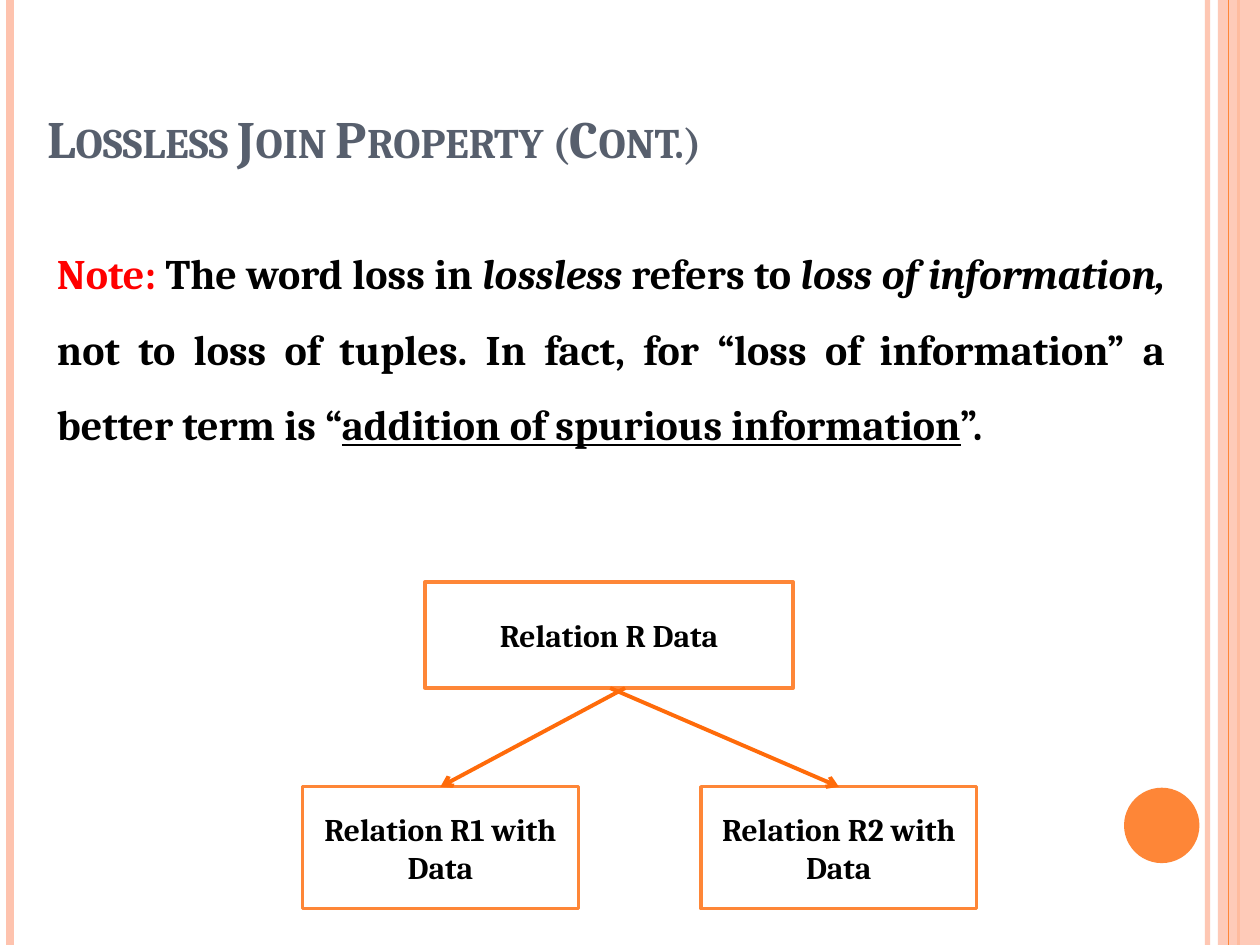
from lxml.etree import SubElement
from pptx import Presentation
from pptx.dml.color import RGBColor
from pptx.enum.shapes import MSO_CONNECTOR, MSO_SHAPE
from pptx.enum.text import MSO_ANCHOR, PP_ALIGN
from pptx.oxml.ns import qn
from pptx.util import Cm, Pt

FONT = "Cambria"
ORANGE = "FE8637"
PEACH = "FEC3AE"
ARROW = "FF6B0A"
BLACK = "000000"
PAGE_WIDTH, PAGE_HEIGHT = 25.4, 19.05


def color(value):
    return RGBColor.from_string(value)


def set_alpha(fill_element, percent):
    SubElement(fill_element.find(".//" + qn("a:srgbClr")), qn("a:alpha"), val=str(percent * 1000))


def add_span(para, text, size, shade=BLACK, italic=False, underline=False):
    span = para.add_run()
    span.text = text
    font = span.font
    font.name, font.size, font.bold = FONT, Pt(size), True
    font.italic, font.underline = italic, underline
    font.color.rgb = color(shade)
    return span


def add_line(page, start, end, shade, width, alpha=None, arrow=False):
    line = page.shapes.add_connector(
        MSO_CONNECTOR.STRAIGHT, *(Cm(value) for value in start + end))
    line.line.color.rgb = color(shade)
    line.line.width = Pt(width)
    properties = line._element.spPr
    outline = properties.find(qn("a:ln"))
    if alpha:
        set_alpha(outline, alpha)
    if arrow:
        SubElement(outline, qn("a:tailEnd"), type="arrow")
    SubElement(properties, qn("a:effectLst"))


def add_figure(page, kind, left, top, width, height, fill, outline=None):
    figure = page.shapes.add_shape(kind, Cm(left), Cm(top), Cm(width), Cm(height))
    figure.shadow.inherit = False
    figure.fill.solid()
    figure.fill.fore_color.rgb = color(fill)
    if outline:
        figure.line.color.rgb = color(outline)
        figure.line.width = Pt(2)
    else:
        figure.line.fill.background()
    return figure


def add_relation(page, text, left, top, width, height):
    box = add_figure(page, MSO_SHAPE.RECTANGLE, left, top, width, height, "FFFFFF", ORANGE)
    frame = box.text_frame
    frame.word_wrap = True
    frame.vertical_anchor = MSO_ANCHOR.MIDDLE
    para = frame.paragraphs[0]
    para.alignment = PP_ALIGN.CENTER
    add_span(para, text, 18)


def add_frame_decoration(page):
    def rule(x, shade, width, alpha=None):
        add_line(page, (x, 0), (x, PAGE_HEIGHT), shade, width, alpha)

    rule(24.34, PEACH, 3, 93)
    rule(0.21, PEACH, 4.5)
    rule(24.97, ORANGE, 1.5)
    band = add_figure(page, MSO_SHAPE.RECTANGLE, 24.55, 0, 0.85, PAGE_HEIGHT, PEACH)
    set_alpha(band._element.spPr, 87)
    rule(24.77, ORANGE, 0.75)
    add_figure(page, MSO_SHAPE.OVAL, 22.66, 15.88, 1.52, 1.52, ORANGE)


def set_title(page, text):
    title = page.shapes.title
    title.left, title.top, title.width, title.height = Cm(0.7), Cm(0.36), Cm(24.2), Cm(3.18)
    title.text_frame.vertical_anchor = MSO_ANCHOR.BOTTOM
    para = title.text_frame.paragraphs[0]
    para.alignment = PP_ALIGN.LEFT
    span = add_span(para, text, 30, "575F6D")
    span.font._element.set("cap", "small")


def add_note(page):
    box = page.shapes.add_textbox(Cm(0.9), Cm(4.36), Cm(22.84), Cm(13.36))
    box.text_frame.word_wrap = True
    para = box.text_frame.paragraphs[0]
    para.alignment = PP_ALIGN.JUSTIFY
    para.line_spacing = 1.5
    para.space_before = Pt(6)
    add_span(para, "Note: ", 24, "FF0000")
    add_span(para, "The word loss in ", 24)
    add_span(para, "lossless", 24, italic=True)
    add_span(para, " refers to ", 24)
    add_span(para, "loss of information,", 24, italic=True)
    add_span(para, " not to loss of tuples. In fact, for “loss of information” a better term is “", 24)
    add_span(para, "addition of spurious information", 24, underline=True)
    add_span(para, "”.", 24)


def add_decomposition(page):
    parent_bottom, child_top, child_width = 13.87, 15.86, 5.56
    add_relation(page, "Relation R Data", 8.57, 11.73, 7.42, 2.14)
    for name, left, start in (("R1", 6.1, 12.6), ("R2", 14.13, 12.3)):
        add_relation(page, f"Relation {name} with Data", left, child_top, child_width, 2.46)
        add_line(page, (start, parent_bottom), (left + child_width / 2, child_top),
                 ARROW, 2.25, arrow=True)


def main():
    deck = Presentation()
    deck.slide_width, deck.slide_height = Cm(PAGE_WIDTH), Cm(PAGE_HEIGHT)
    page = deck.slides.add_slide(deck.slide_layouts[5])
    add_frame_decoration(page)
    set_title(page, "Lossless Join Property (Cont.)")
    add_note(page)
    add_decomposition(page)
    deck.save("out.pptx")


if __name__ == "__main__":
    main()
